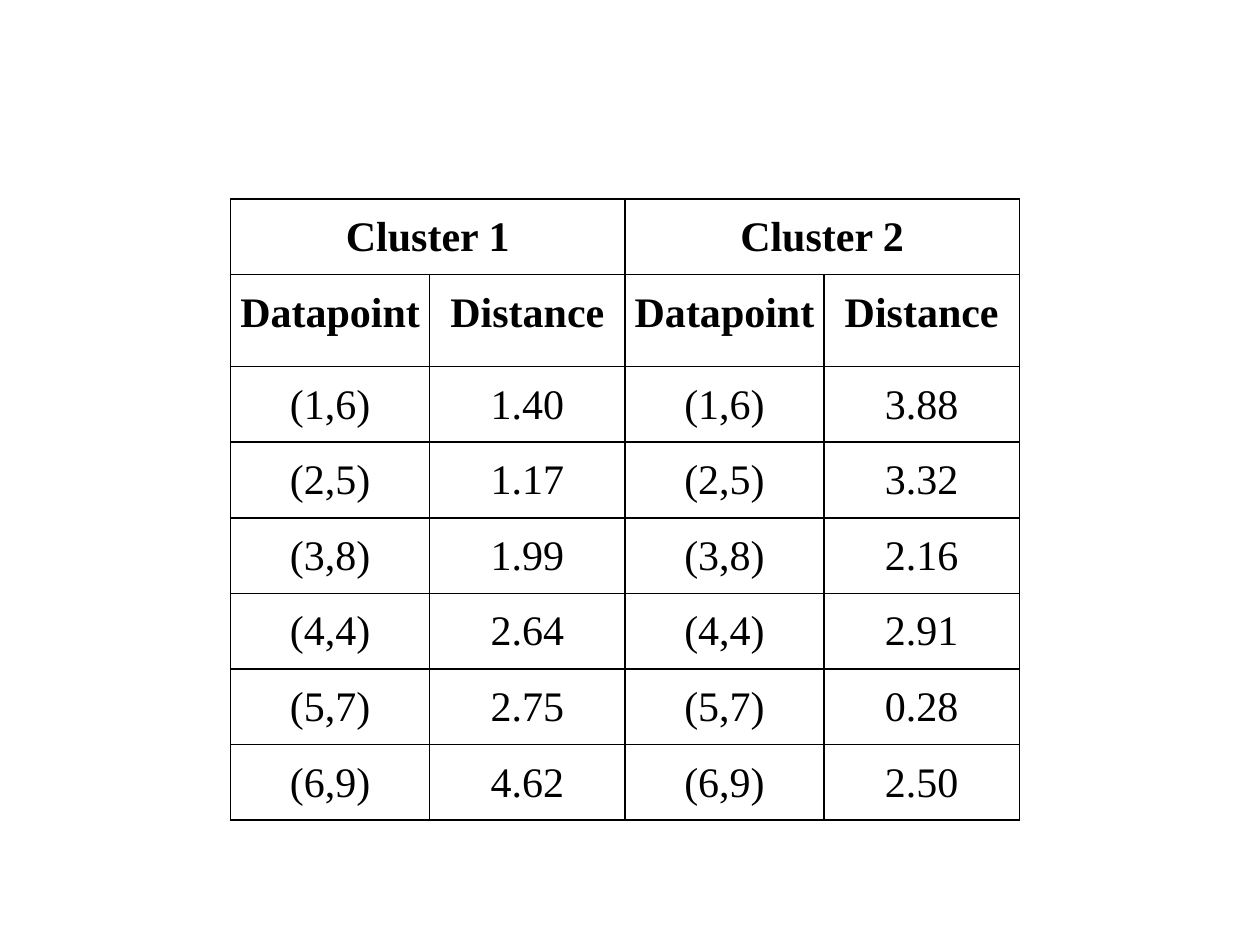
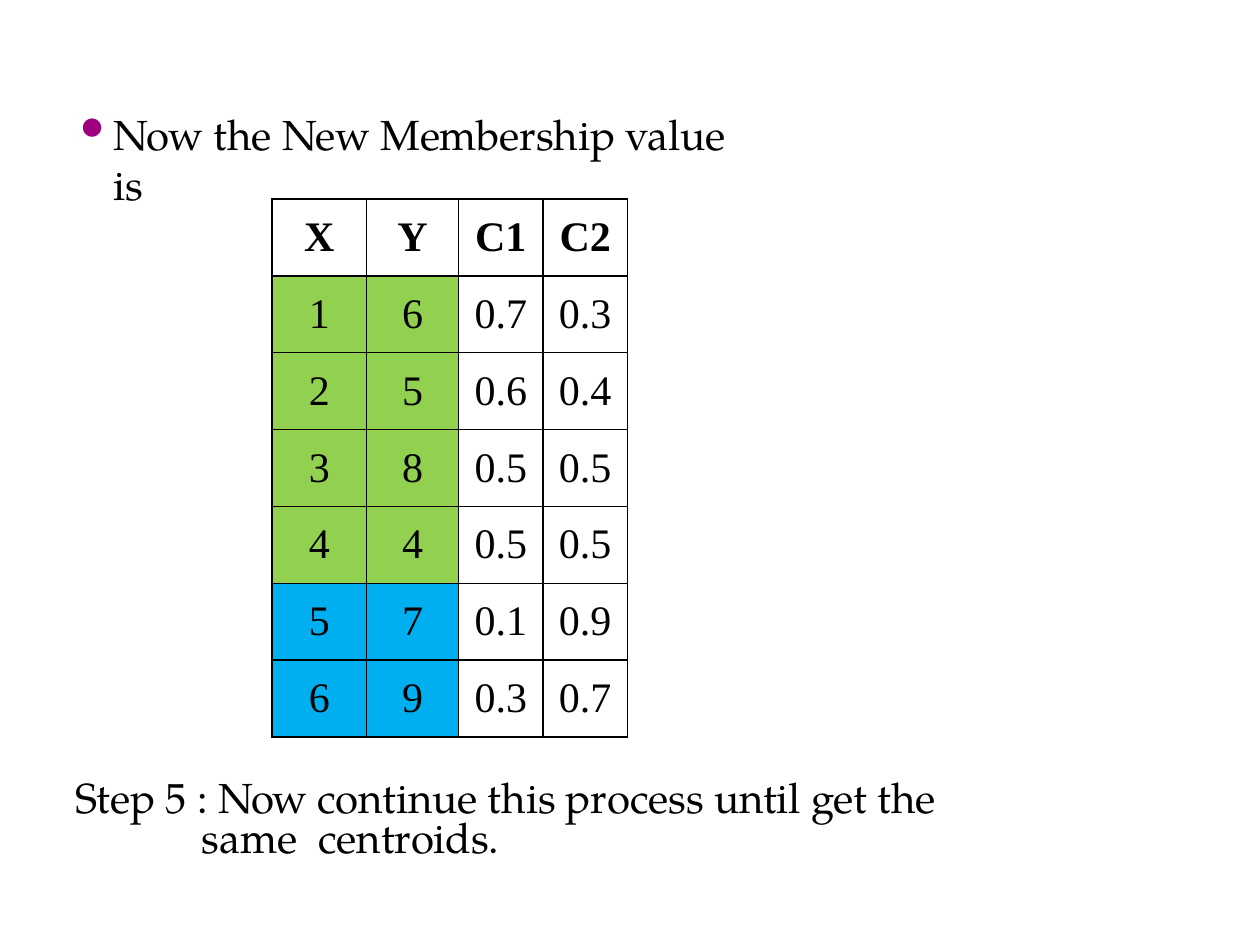
from lxml import etree
from pptx import Presentation
from pptx.dml.color import RGBColor
from pptx.enum import text
from pptx.oxml import ns
from pptx.util import Inches, Pt

COLORS = {"ink": "000000", "bullet": "9C007E",
          "cluster 1": "92D050", "cluster 2": "00AFEF"}
TABLE_FONT = "Times New Roman"
BODY_FONT = "TeX Gyre Pagella"
TEXT_SIZE = 24
TABLE_TOP = 1.58
BODY_LEFT = 0.59

DISTANCES = [("(1,6)", "1.40", "3.88"), ("(2,5)", "1.17", "3.32"),
             ("(3,8)", "1.99", "2.16"), ("(4,4)", "2.64", "2.91"),
             ("(5,7)", "2.75", "0.28"), ("(6,9)", "4.62", "2.50")]
MEMBERSHIP = [("1", "6", "0.7", "0.3"), ("2", "5", "0.6", "0.4"),
              ("3", "8", "0.5", "0.5"), ("4", "4", "0.5", "0.5"),
              ("5", "7", "0.1", "0.9"), ("6", "9", "0.3", "0.7")]


def add_child(parent, tag, **attributes):
    return etree.SubElement(parent, ns.qn(tag), attributes)


def add_run(paragraph, words, font, bold=False, spacing=0):
    """Add one run; spacing is the gap between letters in points."""
    run = paragraph.add_run()
    run.text = words
    run.font.name = font
    run.font.size = Pt(TEXT_SIZE)
    run.font.bold = bold
    run.font.color.rgb = RGBColor.from_string(COLORS["ink"])
    if spacing:
        run._r.get_or_add_rPr().set("spc", str(round(spacing * 100)))


def set_borders(cell):
    properties = cell._tc.get_or_add_tcPr()
    for place, side in enumerate(("a:lnL", "a:lnR", "a:lnT", "a:lnB")):
        line = etree.Element(ns.qn(side), w=str(Pt(1)))
        fill = add_child(line, "a:solidFill")
        add_child(fill, "a:srgbClr", val=COLORS["ink"])
        properties.insert(place, line)


def fill_cell(cell, words, bold):
    cell.margin_left = cell.margin_right = cell.margin_bottom = 0
    cell.margin_top = Inches(0.12)
    cell.fill.background()
    set_borders(cell)
    paragraph = cell.text_frame.paragraphs[0]
    paragraph.alignment = text.PP_ALIGN.CENTER
    paragraph.space_before = Pt(8.4)
    if words:
        add_run(paragraph, words, TABLE_FONT, bold)


def add_grid(slide, left, widths, heights, rows, header_rows):
    """Add a ruled table whose first header_rows rows are bold."""
    frame = slide.shapes.add_table(
        len(rows), len(widths), Inches(left), Inches(TABLE_TOP),
        Inches(sum(widths)), Inches(sum(heights)))
    grid = frame.table
    grid.first_row = grid.horz_banding = False
    for column, width in zip(grid.columns, widths):
        column.width = Inches(width)
    for row, height in zip(grid.rows, heights):
        row.height = Inches(height)
    for r, row in enumerate(rows):
        for c, words in enumerate(row):
            fill_cell(grid.cell(r, c), words, r < header_rows)
    return grid


def add_body_text(slide, top, width, height, inset, hang, before, runs):
    """Add a paragraph with a hanging indent; hang is (margin, first line)."""
    box = slide.shapes.add_textbox(
        Inches(BODY_LEFT), Inches(top), Inches(width), Inches(height))
    frame = box.text_frame
    frame.word_wrap = True
    frame.auto_size = text.MSO_AUTO_SIZE.SHAPE_TO_FIT_TEXT
    frame.margin_left = frame.margin_right = frame.margin_bottom = 0
    frame.margin_top = Inches(inset)
    paragraph = frame.paragraphs[0]
    paragraph.space_before = Pt(before)
    properties = paragraph._p.get_or_add_pPr()
    for name, length in zip(("marL", "indent"), hang):
        properties.set(name, str(Inches(length)))
    for words, spacing in runs:
        add_run(paragraph, words, BODY_FONT, spacing=spacing)
    return paragraph


def add_bullet(paragraph):
    properties = paragraph._p.get_or_add_pPr()
    color = add_child(properties, "a:buClr")
    add_child(color, "a:srgbClr", val=COLORS["bullet"])
    add_child(properties, "a:buSzPct", val="94000")
    add_child(properties, "a:buChar", char="⚫")


def build_distances(slide):
    rows = [("Cluster 1", "", "Cluster 2", ""), ("Datapoint", "Distance") * 2]
    rows += [(point, first, point, second) for point, first, second in DISTANCES]
    grid = add_grid(slide, 1.83, (1.58, 1.55) * 2,
                    [0.6, 0.73] + [0.6] * len(DISTANCES), rows, 2)
    for c in (0, 2):
        grid.cell(0, c).merge(grid.cell(0, c + 1))


def build_membership(slide):
    # Statement and next step
    statement = add_body_text(slide, 0.85, 5.3, 0.43, 0.01, (0.31, -0.3), 1,
                              [("Now the New Membership value is", -0.1)])
    add_bullet(statement)
    step = add_body_text(
        slide, 6.11, 7.54, 0.75, 0.09, (1.01, -1), 6.6,
        [("Step ", -0.1), ("5 : ", 0), ("Now ", -0.3),
         ("continue this process until get the ", -0.1),
         ("same", 0), (" ", 6), ("centroids.", -0.1)])
    step.line_spacing = Pt(23)

    # Membership table, points coloured by their stronger cluster
    rows = [("X", "Y", "C1", "C2")] + MEMBERSHIP
    grid = add_grid(slide, 2.16, (0.75, 0.73, 0.67, 0.67),
                    [0.61] * len(rows), rows, 1)
    for r, (_, _, first, second) in enumerate(MEMBERSHIP, start=1):
        cluster = "cluster 1" if float(first) >= float(second) else "cluster 2"
        for c in (0, 1):
            fill = grid.cell(r, c).fill
            fill.solid()
            fill.fore_color.rgb = RGBColor.from_string(COLORS[cluster])


def main():
    deck = Presentation()
    deck.slide_width, deck.slide_height = Inches(10), Inches(7.5)
    blank = deck.slide_layouts[6]
    for build in (build_distances, build_membership):
        build(deck.slides.add_slide(blank))
    deck.save("out.pptx")


if __name__ == "__main__":
    main()
